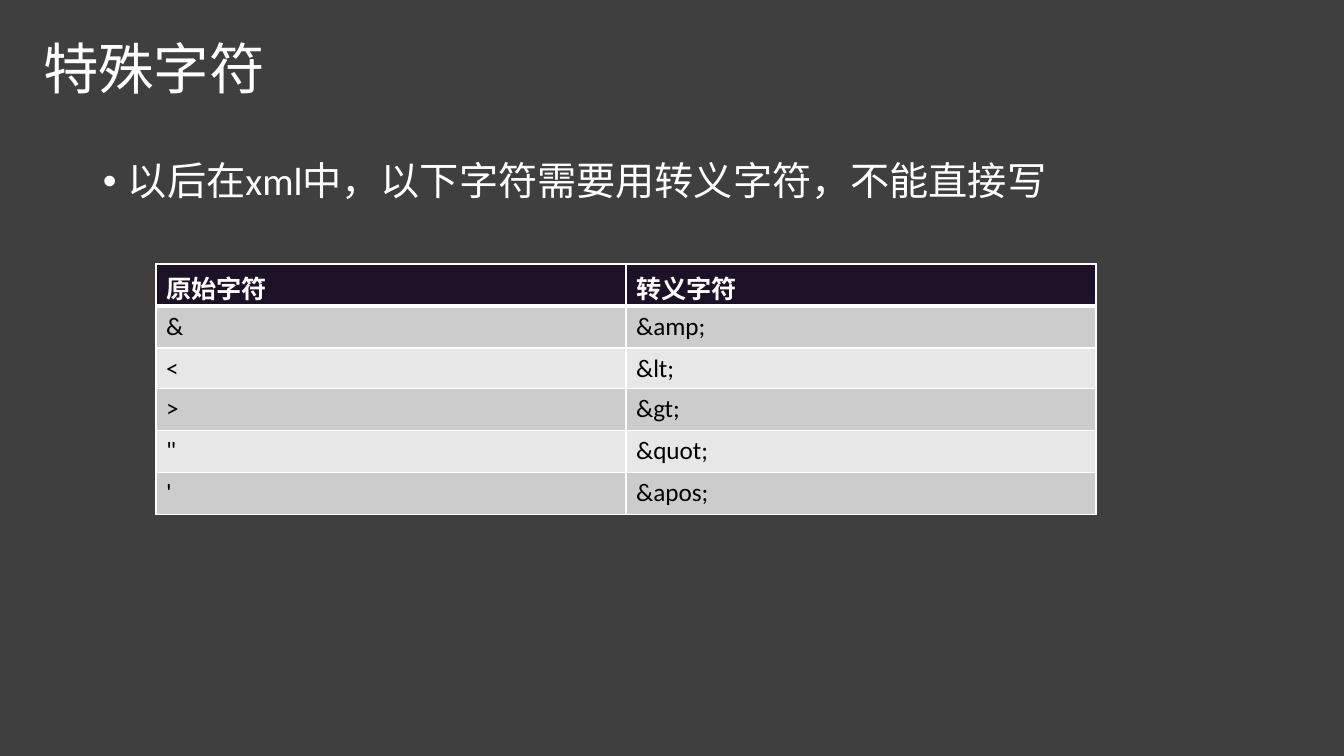
from lxml.etree import SubElement
from pptx import Presentation
from pptx.dml.color import RGBColor
from pptx.enum.text import MSO_ANCHOR as Anchor, MSO_AUTO_SIZE as AutoSize, PP_ALIGN as Align
from pptx.oxml.ns import qn
from pptx.util import Emu, Pt

SLIDE_W, SLIDE_H = 1344, 756
EMU_PER_PX = 12192000 / SLIDE_W

BACKGROUND = RGBColor(0x3F, 0x3F, 0x3F)
WHITE = RGBColor(0xFF, 0xFF, 0xFF)
BLACK = RGBColor(0x00, 0x00, 0x00)
HEADER_FILL = RGBColor(0x1D, 0x11, 0x28)
BAND_FILLS = (RGBColor(0xE8, 0xE7, 0xE8), RGBColor(0xCD, 0xCC, 0xCD))

ESCAPES = [
    ("原始字符", "转义字符"),
    ("&", "&amp;"),
    ("<", "&lt;"),
    (">", "&gt;"),
    ('"', "&quot;"),
    ("'", "&apos;"),
]
ROW_HEIGHTS = [42, 42, 40, 42, 42, 42]


def px(length):
    return Emu(round(length * EMU_PER_PX))


class SlideBuilder:
    font = "Calibri"

    def __init__(self, deck):
        self.slide = deck.slides.add_slide(deck.slide_layouts[5])
        fill = self.slide.background.fill
        fill.solid()
        fill.fore_color.rgb = BACKGROUND

    def add_run(self, paragraph, text, size, color=WHITE, bold=False):
        run = paragraph.add_run()
        run.text = text
        run.font.name = self.font
        run.font.size = Pt(size)
        run.font.bold = bold
        run.font.color.rgb = color

    def title(self, text, left, top, width, height):
        heading = self.slide.shapes.title
        heading.left, heading.top = px(left), px(top)
        heading.width, heading.height = px(width), px(height)
        frame = heading.text_frame
        frame.auto_size = AutoSize.NONE
        frame.vertical_anchor = Anchor.MIDDLE
        paragraph = frame.paragraphs[0]
        paragraph.alignment = Align.LEFT
        paragraph.line_spacing = 0.9
        self.add_run(paragraph, text, 39.6)

    def bullet(self, text, left, top, width, height):
        box = self.slide.shapes.add_textbox(px(left), px(top), px(width), px(height))
        box.text_frame.word_wrap = True
        paragraph = box.text_frame.paragraphs[0]
        paragraph.line_spacing = 0.9
        paragraph.space_before = Pt(10)
        props = paragraph._p.get_or_add_pPr()
        props.set("marL", str(px(25)))
        props.set("indent", str(-px(25)))
        SubElement(props, qn("a:buFont"), typeface="Arial")
        SubElement(props, qn("a:buChar"), char="•")
        self.add_run(paragraph, text, 28)

    def border(self, cell, bottom):
        props = cell._tc.get_or_add_tcPr()
        for side, points in (("L", 1), ("R", 1), ("T", 1), ("B", bottom)):
            line = SubElement(props, qn(f"a:ln{side}"), w=str(Pt(points)))
            SubElement(SubElement(line, qn("a:solidFill")), qn("a:srgbClr"), val=str(WHITE))

    def table(self, rows, heights, left, top, width):
        columns = len(rows[0])
        grid = self.slide.shapes.add_table(
            len(rows), columns, px(left), px(top), px(width), px(sum(heights))).table
        for column in grid.columns:
            column.width = px(width / columns)
        for r, (texts, height) in enumerate(zip(rows, heights)):
            header = r == 0
            grid.rows[r].height = px(height)
            for c, text in enumerate(texts):
                cell = grid.cell(r, c)
                self.border(cell, bottom=3 if header else 1)
                cell.fill.solid()
                cell.fill.fore_color.rgb = HEADER_FILL if header else BAND_FILLS[r % 2]
                self.add_run(cell.text_frame.paragraphs[0], text, 18,
                             WHITE if header else BLACK, bold=header)
        # The header's thick lower edge is also the first body row's top edge
        for cell in grid.rows[1].cells:
            cell._tc.tcPr.find(qn("a:lnT")).set("w", str(Pt(3)))


def main():
    deck = Presentation()
    deck.slide_width, deck.slide_height = px(SLIDE_W), px(SLIDE_H)
    page = SlideBuilder(deck)

    # Heading and rule
    page.title("特殊字符", 33, 35, 806, 74)
    page.bullet("以后在xml中，以下字符需要用转义字符，不能直接写", 93, 157, 1159, 480)

    # Characters and their escapes
    page.table(ESCAPES, ROW_HEIGHTS, 156, 264, 940)

    deck.save("out.pptx")


if __name__ == "__main__":
    main()
